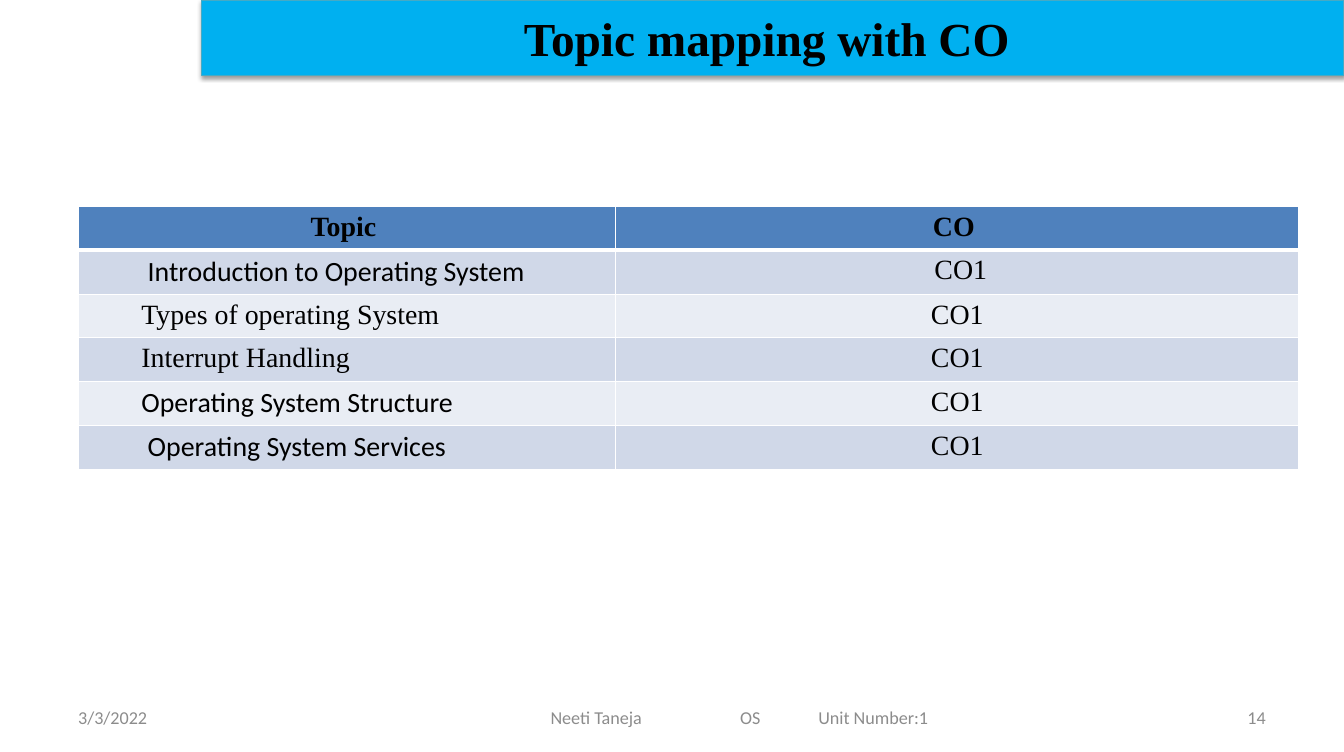
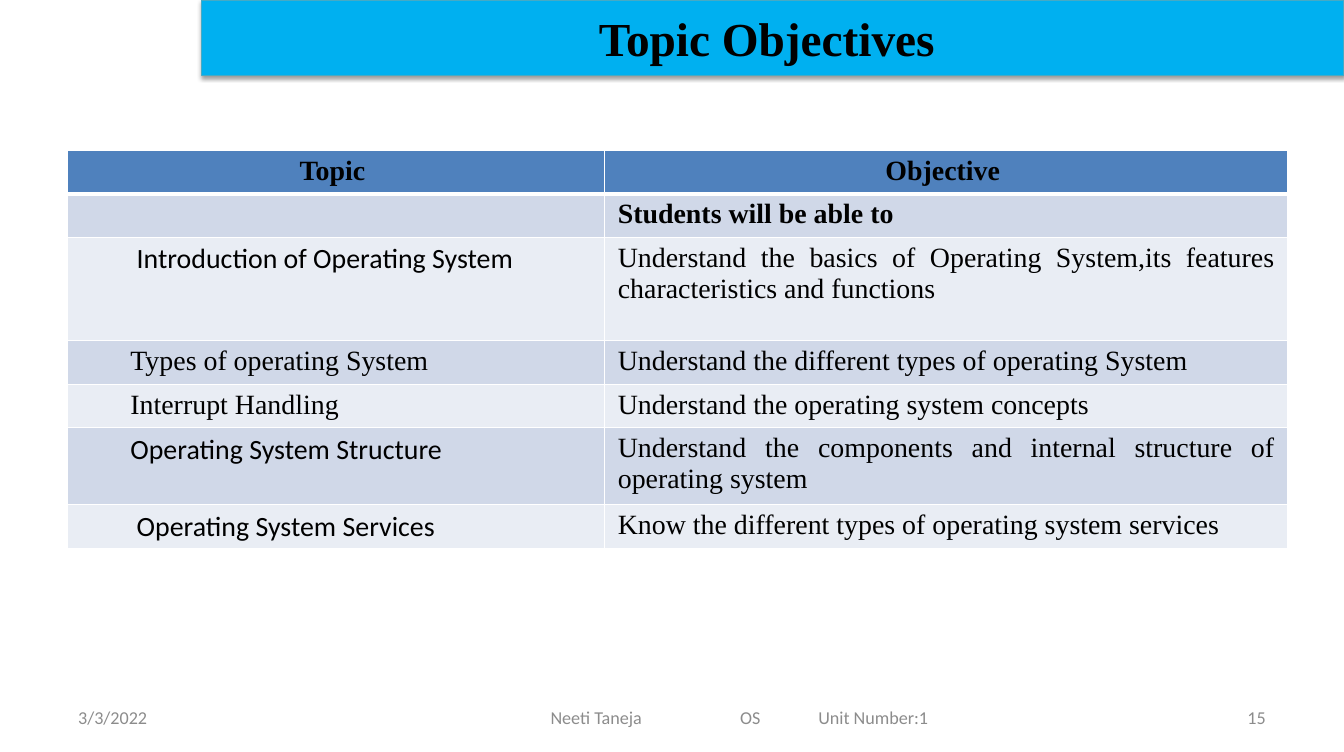
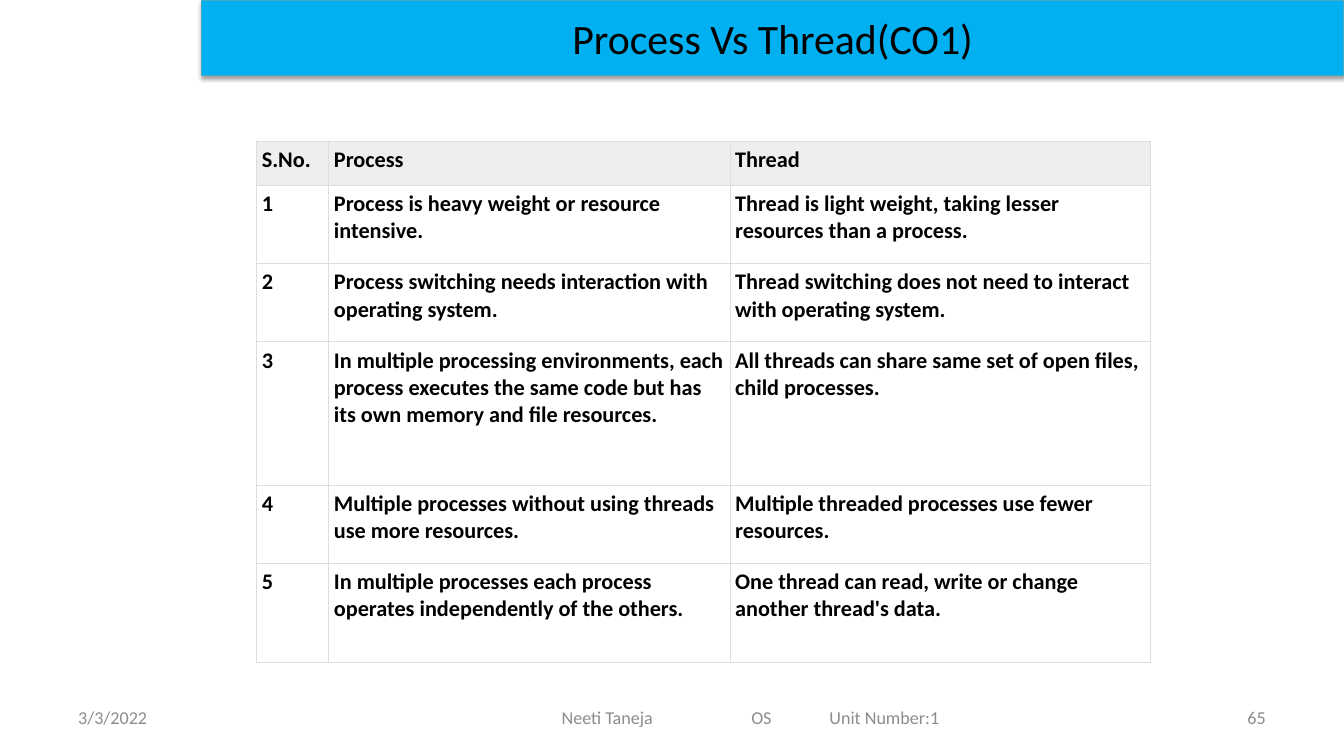
from dataclasses import dataclass

from lxml import etree
from pptx import Presentation
from pptx.dml.color import RGBColor
from pptx.enum.text import MSO_ANCHOR, MSO_AUTO_SIZE, PP_ALIGN
from pptx.oxml import parse_xml
from pptx.oxml.ns import nsdecls, qn
from pptx.util import Inches, Pt

LEFT, MID, RIGHT, FULL = (PP_ALIGN.LEFT, PP_ALIGN.CENTER,
                          PP_ALIGN.RIGHT, PP_ALIGN.JUSTIFY)
CENTER = MSO_ANCHOR.MIDDLE
FIXED = MSO_AUTO_SIZE.NONE
TITLE_ONLY = 5


@dataclass(frozen=True)
class Theme:
    sans: str = "Calibri"
    serif: str = "Times New Roman"
    ink: str = "000000"
    muted: str = "8C8C8C"
    band: str = "00B0F0"
    edge: str = "46AAC5"
    head: str = "4F81BD"
    odd: str = "D0D8E8"
    even: str = "E9EDF4"
    rule: str = "FFFFFF"
    grey: str = "EEEEEE"
    line: str = "DDDDDD"
    big: int = 34
    mid: int = 30
    body: int = 20
    small: int = 16
    foot: int = 13


T = Theme()


def look(name, size, bold=False, color=T.ink):
    return {"name": name, "size": Pt(size), "bold": bold, "color": color}


SERIF = look(T.serif, T.body)
STRONG = look(T.serif, T.body, True)
SANS = look(T.sans, T.body)
GRID = look(T.sans, T.small, True)
FOOT = look(T.sans, T.foot, color=T.muted)
TITLE = look(T.serif, T.big, True)
PLAIN = look(T.sans, T.mid)

TOPICS = [("Types of operating System", SERIF),
          ("Interrupt Handling", SERIF),
          ("Operating System Structure", SANS),
          (" Operating System Services", SANS)]
GOALS = ["Understand the different types of operating System ",
         "Understand the operating system concepts",
         "Understand the components and internal structure of operating system",
         "Know the different types of operating system services"]
THREADS = [
    ("S.No.", "Process", "Thread"),
    ("1", "Process is heavy weight or resource intensive.",
     "Thread is light weight, taking lesser resources than a process."),
    ("2", "Process switching needs interaction with operating system.",
     "Thread switching does not need to interact with operating system."),
    ("3", "In multiple processing environments, each process executes the same "
     "code but has its own memory and file resources.",
     "All threads can share same set of open files, child processes."),
    ("4", "Multiple processes without using threads use more resources.",
     "Multiple threaded processes use fewer resources."),
    ("5", "In multiple processes each process operates independently of the others.",
     "One thread can read, write or change another thread's data."),
]


def write(para, text, style, align=LEFT, indent=0):
    para.alignment = align
    if indent:
        props = para._p.get_or_add_pPr()
        props.set("marL", str(Inches(indent)))
        props.set("indent", "0")
    if not text:
        return
    run = para.add_run()
    run.text = text
    for key, value in style.items():
        if key == "color":
            run.font.color.rgb = RGBColor.from_string(value)
        else:
            setattr(run.font, key, value)


def add_band(slide, text, style, box):
    """Turn the title placeholder into the shaded band at the top."""
    band = slide.shapes.title
    band.left, band.top, band.width, band.height = map(Inches, box)
    band.fill.solid()
    band.fill.fore_color.rgb = RGBColor.from_string(T.band)
    band.line.color.rgb = RGBColor.from_string(T.edge)
    band.line.width = Pt(0.75)
    band._element.spPr.append(parse_xml(
        f'<a:effectLst {nsdecls("a")}><a:outerShdw blurRad="{Pt(3.1)}" '
        f'dist="{Pt(1.6)}" dir="5400000" rotWithShape="0">'
        '<a:srgbClr val="000000"><a:alpha val="38000"/></a:srgbClr>'
        '</a:outerShdw></a:effectLst>'))
    frame = band.text_frame
    frame.auto_size = FIXED
    frame.vertical_anchor = CENTER
    write(frame.paragraphs[0], text, style, MID)


def add_note(slide, box, text, align=LEFT, inset=0.11, tabs=()):
    frame = slide.shapes.add_textbox(*map(Inches, box)).text_frame
    form = {"word_wrap": True, "vertical_anchor": CENTER,
            "margin_left": Inches(inset), "margin_right": Inches(0.11),
            "margin_top": Inches(0.05), "margin_bottom": Inches(0.05)}
    for key, value in form.items():
        setattr(frame, key, value)
    para = frame.paragraphs[0]
    if tabs:
        stops = etree.SubElement(para._p.get_or_add_pPr(), qn("a:tabLst"))
        for pos in tabs:
            etree.SubElement(stops, qn("a:tab"), pos=str(Inches(pos)), algn="l")
    write(para, text, FOOT, align)


def add_footer(slide, number, width, top=6.95, high=0.4):
    add_note(slide, (0.67, top, 3.13, high), "3/3/2022")
    add_note(slide, (3.68, top, width, high), "Neeti Taneja\tOS\tUnit Number:1",
             inset=(width - 3.75) / 2, tabs=(1.89, 2.67))
    add_note(slide, (9.6, top, 3.13, high), str(number), RIGHT)


def set_edges(cell, color, widths):
    """Draw the cell's borders; widths run left, right, top, bottom."""
    props = cell._tc.get_or_add_tcPr()
    for side, width in zip("LRTB", widths):
        props.append(parse_xml(
            f'<a:ln{side} {nsdecls("a")} w="{Pt(width)}"><a:solidFill>'
            f'<a:srgbClr val="{color}"/></a:solidFill></a:ln{side}>'))


def add_grid(slide, spot, cols, highs, rows, paint, edges, inset):
    """Rows hold write() arguments; paint and edges map a row index to style."""
    size = sum(cols), sum(highs)
    table = slide.shapes.add_table(len(rows), len(cols),
                                   *map(Inches, (*spot, *size))).table
    table.horz_banding = False
    for col, width in zip(table.columns, cols):
        col.width = Inches(width)
    side, rim = map(Inches, inset)
    form = {"margin_left": side, "margin_right": side,
            "margin_top": rim, "margin_bottom": rim}
    for r, (row, high) in enumerate(zip(rows, highs)):
        table.rows[r].height = Inches(high)
        for cell, item in zip(table.rows[r].cells, row):
            for key, value in form.items():
                setattr(cell, key, value)
            set_edges(cell, *edges(r))
            fill = paint(r)
            if fill:
                cell.fill.solid()
                cell.fill.fore_color.rgb = RGBColor.from_string(fill)
            else:
                cell.fill.background()
            write(cell.text_frame.paragraphs[0], *item)


def add_topics(slide, spot, highs, rows):
    def paint(r):
        return T.head if r == 0 else T.odd if r % 2 else T.even

    def edges(r):
        return T.rule, (1, 1, 3 if r == 1 else 1, 3 if r == 0 else 1)

    add_grid(slide, spot, (5.36, 6.81), highs, rows, paint, edges, (0.13, 0.05))


def add_threads(slide, spot):
    rows = [[(text, GRID) for text in row] for row in THREADS]
    add_grid(slide, spot, (0.72, 4, 4.19), (0.44, 0.78, 0.78, 1.43, 0.78, 0.99),
             rows, lambda r: None if r else T.grey,
             lambda r: (T.line, (0.75,) * 4), (0.05, 0.05))


def topic(text, style):
    return text, style, LEFT, 0.5


def heads(*names):
    return [(name, STRONG, MID) for name in names]


def add_page(deck, title, number, style=TITLE, width=7.37):
    slide = deck.slides.add_slide(deck.slide_layouts[TITLE_ONLY])
    add_footer(slide, number, width)
    add_band(slide, title, style, (2.01, 0, 11.39, 0.75))
    return slide


def main():
    deck = Presentation()
    deck.slide_width, deck.slide_height = Inches(13.4), Inches(7.5)

    page = add_page(deck, "Topic mapping with CO ", 14)
    rows = [heads("Topic ", "CO "),
            [topic(" Introduction to Operating System", SANS), (" CO1", SERIF, MID)]]
    rows += [[topic(*item), ("CO1", SERIF, MID)] for item in TOPICS]
    add_topics(page, (0.78, 2.06), (0.41, 0.44, 0.41, 0.41, 0.44, 0.44), rows)

    page = add_page(deck, "Topic Objectives ", 15)
    rows = [heads("Topic ", "Objective "),
            [("", STRONG), ("Students will be able to", STRONG)],
            [topic(" Introduction of Operating System", SANS),
             ("Understand the basics of Operating System,its features "
              "characteristics and functions", SERIF, FULL)]]
    rows += [[topic(*item), (goal, SERIF, FULL)]
             for item, goal in zip(TOPICS, GOALS)]
    add_topics(page, (0.67, 1.5), (0.41, 0.41, 1.03, 0.41, 0.41, 0.71, 0.44), rows)

    page = add_page(deck, "Process Vs Thread(CO1)", 65, PLAIN, 7.59)
    add_threads(page, (2.56, 1.41))

    deck.save("out.pptx")


if __name__ == "__main__":
    main()
